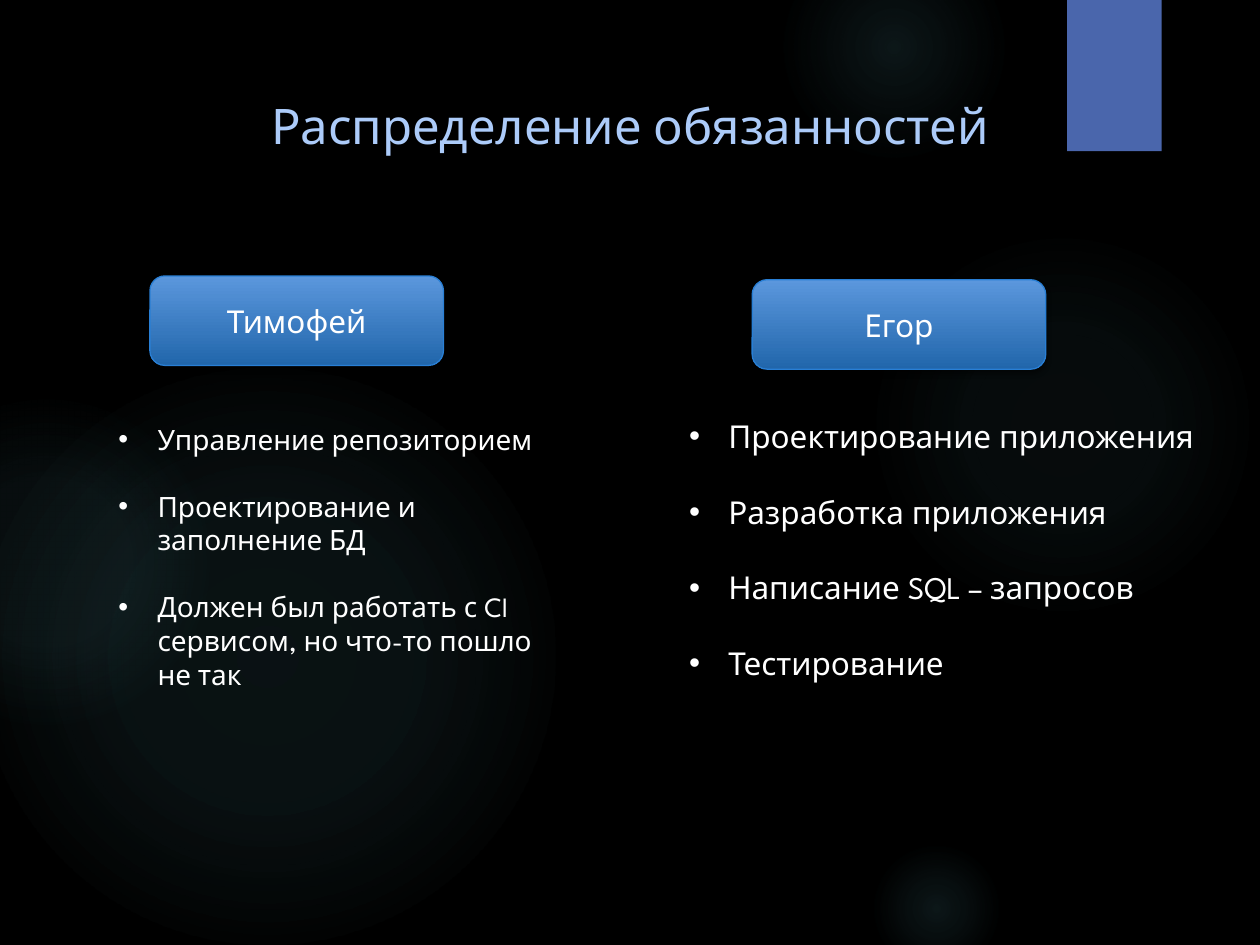
from lxml.etree import SubElement
from pptx import Presentation
from pptx.dml.color import RGBColor
from pptx.enum.shapes import MSO_SHAPE
from pptx.enum.text import MSO_ANCHOR, MSO_AUTO_SIZE, PP_ALIGN
from pptx.oxml.ns import qn
from pptx.util import Inches, Pt

FONT = "League Spartan"
BLACK = RGBColor(0x00, 0x00, 0x00)
WHITE = RGBColor(0xFF, 0xFF, 0xFF)
TITLE_BLUE = RGBColor(0xAC, 0xCB, 0xF9)
RIBBON_BLUE = RGBColor(0x4A, 0x66, 0xAC)
BUTTON_TOP = RGBColor(0x5B, 0x97, 0xDD)
BUTTON_BOTTOM = RGBColor(0x21, 0x66, 0xAB)
BUTTON_EDGE = RGBColor(0x29, 0x7F, 0xD5)
GLOW = RGBColor(0x5A, 0xA2, 0xAE)

COLUMNS, ROWS = 100, 75
SLIDE_WIDTH, SLIDE_HEIGHT = Inches(10), Inches(7.5)

GLOWS = [
    (68.9, 18.3, 30.8, (7, 6, 0), 69),
    (62.2, -5, 17.5, (14, 7, 0), 73),
    (68.9, 66.7, 10.8, (14, 7, 0), 66),
    (-1.7, 29.2, 45.8, (11, 10, 0), 75),
    (-9.2, 31.7, 25.8, (8, 8, 0), 72),
]
BUTTONS = [
    ("Егор", 59.7, 22.2),
    ("Тимофей", 11.9, 21.9),
]
DUTIES = [
    (1, (8.4, 33, 36.5, 25.2), 16, [
        "Управление репозиторием",
        "Проектирование и заполнение БД",
        "Должен был работать с CI сервисом, но что-то пошло не так",
    ]),
    (2, (53.7, 32.6, 43.6, 22.2), 18, [
        "Проектирование приложения",
        "Разработка приложения",
        "Написание SQL – запросов",
        "Тестирование",
    ]),
]


def grid(column, row, width, height):
    cell_width, cell_height = SLIDE_WIDTH / COLUMNS, SLIDE_HEIGHT / ROWS
    return (round(column * cell_width), round(row * cell_height),
            round(width * cell_width), round(height * cell_height))


def place(shape, box):
    shape.left, shape.top, shape.width, shape.height = grid(*box)


def bring_to_front(slide, shape):
    slide.shapes._spTree.append(shape._element)


def add_run(paragraph, text, size, color):
    run = paragraph.add_run()
    run.text = text
    run.font.name = FONT
    run.font.size = Pt(size)
    run.font.color.rgb = color


def add_color(parent, color, opacity):
    element = SubElement(parent, qn("a:srgbClr"), val=str(color))
    SubElement(element, qn("a:alpha"), val=str(opacity * 1000))


def add_shadow(shape):
    shape.shadow.inherit = False
    effects = shape._element.spPr.find(qn("a:effectLst"))
    shadow = SubElement(effects, qn("a:outerShdw"), blurRad=str(Pt(3)),
                        dist=str(Pt(2)), dir="5400000", rotWithShape="0")
    add_color(shadow, BLACK, 45)


def add_glow(slide, column, row, diameter, opacities, edge):
    glow = slide.shapes.add_shape(MSO_SHAPE.OVAL, *grid(column, row, diameter, diameter))
    glow.shadow.inherit = False
    glow.line.fill.background()
    glow.fill.gradient()
    gradient = glow._element.spPr.find(qn("a:gradFill"))
    for child in list(gradient):
        gradient.remove(child)
    stops = SubElement(gradient, qn("a:gsLst"))
    for position, opacity in zip((0, 36, edge), opacities):
        stop = SubElement(stops, qn("a:gs"), pos=str(position * 1000))
        add_color(stop, GLOW, opacity)
    circle = SubElement(gradient, qn("a:path"), path="circle")
    SubElement(circle, qn("a:fillToRect"), l="50000", t="50000", r="50000", b="50000")


def add_ribbon(slide):
    ribbon = slide.shapes.add_shape(MSO_SHAPE.RECTANGLE, *grid(84.7, 0, 7.5, 12))
    ribbon.fill.solid()
    ribbon.fill.fore_color.rgb = RIBBON_BLUE
    ribbon.line.fill.background()
    add_shadow(ribbon)


def add_button(slide, name, column, row):
    button = slide.shapes.add_shape(MSO_SHAPE.ROUNDED_RECTANGLE, *grid(column, row, 23.3, 7.1))
    button.fill.gradient()
    button.fill.gradient_angle = 270
    for stop, color in zip(button.fill.gradient_stops, (BUTTON_TOP, BUTTON_BOTTOM)):
        stop.color.rgb = color
    button.line.color.rgb = BUTTON_EDGE
    button.line.width = Pt(0.75)
    add_shadow(button)
    button.text_frame.vertical_anchor = MSO_ANCHOR.MIDDLE
    paragraph = button.text_frame.paragraphs[0]
    paragraph.alignment = PP_ALIGN.CENTER
    add_run(paragraph, name, 18, WHITE)


def fill_title(slide, text):
    title = slide.shapes.title
    place(title, (0, 7.1, 100, 11.3))
    bring_to_front(slide, title)
    frame = title.text_frame
    frame.auto_size = MSO_AUTO_SIZE.NONE
    frame.vertical_anchor = MSO_ANCHOR.TOP
    frame.paragraphs[0].alignment = PP_ALIGN.CENTER
    add_run(frame.paragraphs[0], text, 28, TITLE_BLUE)


def fill_duties(slide, index, box, size, duties):
    body = slide.placeholders[index]
    place(body, box)
    bring_to_front(slide, body)
    frame = body.text_frame
    frame.auto_size = MSO_AUTO_SIZE.NONE
    frame.vertical_anchor = MSO_ANCHOR.TOP
    for number, duty in enumerate(duties):
        paragraph = frame.add_paragraph() if number else frame.paragraphs[0]
        paragraph.space_before = Pt(0)
        paragraph.space_after = Pt(size * 1.2)
        properties = paragraph._p.get_or_add_pPr()
        properties.set("marL", str(Inches(0.31)))
        properties.set("indent", str(-Inches(0.31)))
        SubElement(properties, qn("a:buFont"), typeface="Arial")
        SubElement(properties, qn("a:buChar"), char="•")
        add_run(paragraph, duty, size, WHITE)


def main():
    presentation = Presentation()
    presentation.slide_width, presentation.slide_height = SLIDE_WIDTH, SLIDE_HEIGHT
    slide = presentation.slides.add_slide(presentation.slide_layouts.get_by_name("Two Content"))
    slide.background.fill.solid()
    slide.background.fill.fore_color.rgb = BLACK
    for glow in GLOWS:
        add_glow(slide, *glow)
    add_ribbon(slide)
    fill_title(slide, "Распределение обязанностей")
    for button in BUTTONS:
        add_button(slide, *button)
    for duties in DUTIES:
        fill_duties(slide, *duties)
    presentation.save("out.pptx")


if __name__ == "__main__":
    main()
